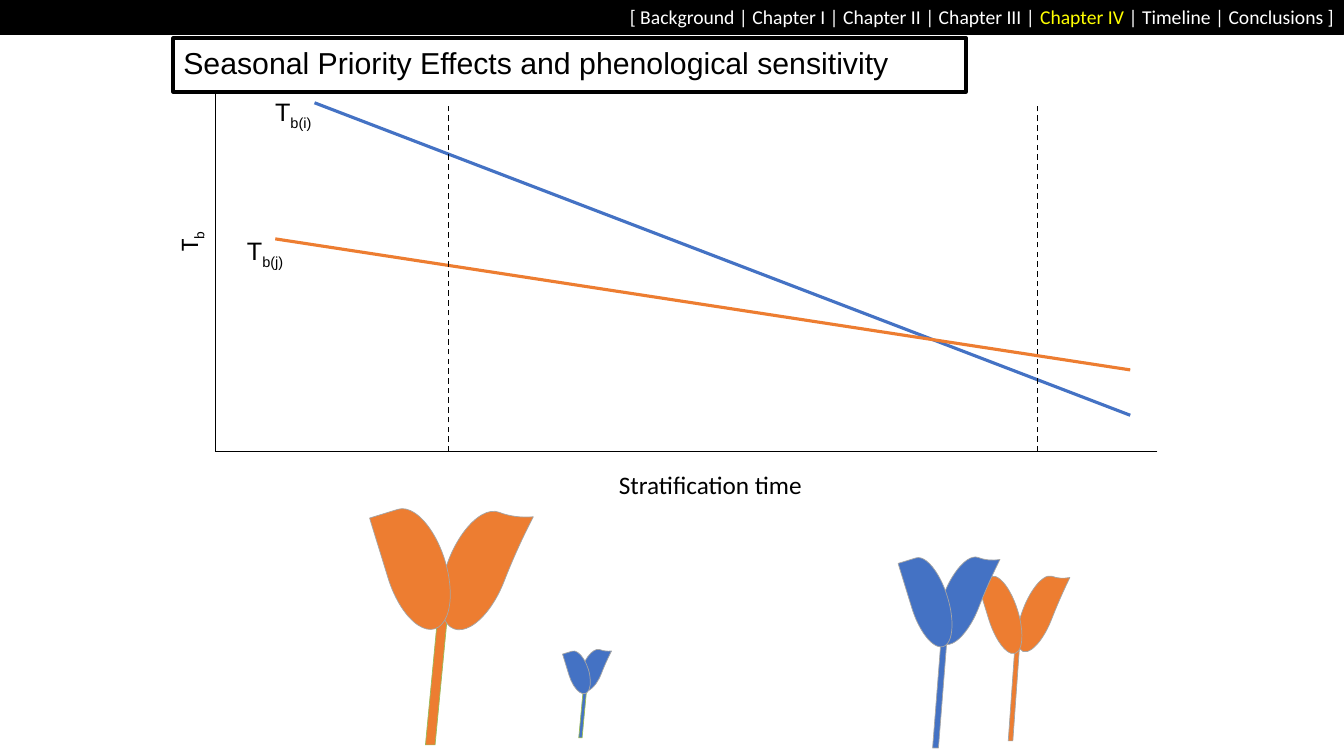
from dataclasses import dataclass

from lxml.etree import SubElement
from pptx import Presentation
from pptx.dml.color import RGBColor
from pptx.enum.dml import MSO_LINE
from pptx.enum.shapes import MSO_CONNECTOR, MSO_SHAPE
from pptx.enum.text import MSO_ANCHOR, PP_ALIGN
from pptx.oxml.ns import qn
from pptx.util import Inches, Pt


@dataclass(frozen=True)
class Theme:
    black: str = "000000"
    white: str = "FFFFFF"
    highlight: str = "FFFF00"
    blue: str = "4472C4"
    orange: str = "ED7D31"
    green: str = "9BBB59"
    grey: str = "A5A5A5"
    heading_font: str = "Arial"
    body_font: str = "Calibri"
    nav_size: float = 14
    title_size: float = 21.6
    label_size: float = 18


theme = Theme()
deck = Presentation()
deck.slide_width, deck.slide_height = Inches(13.33), Inches(7.5)
page = deck.slides.add_slide(deck.slide_layouts[6])

# Grid: one column and one row are each an inch
column = deck.slide_width / 13.33
row = deck.slide_height / 7.5


def add_text(parts, left, top, width, height, font=theme.body_font, size=theme.label_size,
             color=theme.black, align=PP_ALIGN.LEFT, anchor=MSO_ANCHOR.TOP, fill=None,
             border=None, spacing=1.0, rotation=0, wrap=True):
    """Add a text box; each part is (text, format), with optional color and subscript."""
    box = page.shapes.add_textbox(int(left * column), int(top * row),
                                  int(width * column), int(height * row))
    box.rotation = rotation
    if fill:
        box.fill.solid()
        box.fill.fore_color.rgb = RGBColor.from_string(fill)
    if border:
        box.line.color.rgb = RGBColor.from_string(theme.black)
        box.line.width = Pt(border)
    frame = box.text_frame
    frame.word_wrap = wrap
    frame.vertical_anchor = anchor
    para = frame.paragraphs[0]
    para.alignment = align
    para.line_spacing = spacing
    for text, style in parts:
        span = para.add_run()
        span.text = text
        span.font.name = font
        span.font.size = Pt(size)
        span.font.color.rgb = RGBColor.from_string(style.get("color", color))
        if style.get("subscript"):
            span.font._element.set("baseline", "-25000")


# Navigation bar and title
add_text([("[ Background | Chapter I | Chapter II | Chapter III | ", {}),
          ("Chapter IV ", {"color": theme.highlight}),
          ("| Timeline | Conclusions ]", {})],
         0, 0, 13.33, 0.34, size=theme.nav_size, color=theme.white,
         align=PP_ALIGN.RIGHT, fill=theme.black, border=0.75)
add_text([("Seasonal Priority Effects and phenological sensitivity", {})],
         1.72, 0.38, 7.86, 0.53, font=theme.heading_font, size=theme.title_size,
         anchor=MSO_ANCHOR.MIDDLE, border=3, spacing=0.9)

# Trend lines, axes and dashed markers
axis_left, axis_right, axis_top, axis_bottom = 2.14, 11.48, 0.91, 4.48
trend_right, marker_top = 11.21, 1.02
lines = [
    (3.12, marker_top, trend_right, 4.12, theme.blue, 2.25, None),
    (2.73, 2.37, trend_right, 3.67, theme.orange, 2.25, None),
    (axis_right, axis_bottom, axis_left, axis_bottom, theme.black, 1, None),
    (axis_left, axis_bottom, axis_left, axis_top, theme.black, 1, None),
]
lines += [(x, axis_bottom, x, marker_top, theme.black, 1, MSO_LINE.DASH) for x in (4.45, 10.29)]
for x1, y1, x2, y2, color, weight, dash in lines:
    line = page.shapes.add_connector(MSO_CONNECTOR.STRAIGHT, int(x1 * column), int(y1 * row),
                                     int(x2 * column), int(y2 * row))
    line.line.color.rgb = RGBColor.from_string(color)
    line.line.width = Pt(weight)
    line.line.dash_style = dash
    SubElement(line._element.spPr, qn("a:effectLst"))

# Tulips: colour, stem outline, stem box, petal width and length, back and front petal corners
tulips = [
    (theme.orange, theme.green, (4.22, 5.98, 0.23, 1.41), (0.59, 1.24), (4.43, 5.04), (3.51, 5.35)),
    (theme.blue, theme.green, (5.74, 6.82, 0.08, 0.5), (0.2, 0.44), (5.77, 6.43), (5.52, 6.57)),
    (theme.orange, theme.grey, (10, 6.44, 0.11, 0.91), (0.3, 0.8), (10.14, 5.69), (9.55, 5.95)),
    (theme.blue, theme.grey, (9.25, 6.37, 0.14, 1.05), (0.37, 0.92), (9.35, 5.5), (8.76, 5.79)),
]
for color, stem_outline, stem, (breadth, length), back, front in tulips:
    parts = [
        (MSO_SHAPE.PARALLELOGRAM, stem, 0, 0.585, stem_outline),
        (MSO_SHAPE.TEAR, (*back, breadth, length), 21.2, 1.131, theme.grey),
        (MSO_SHAPE.TEAR, (*front, length, breadth), 252.9, 1, theme.grey),
    ]
    for kind, (left, top, width, height), rotation, bend, outline in parts:
        part = page.shapes.add_shape(kind, int(left * column), int(top * row),
                                     int(width * column), int(height * row))
        part.rotation = rotation
        part.adjustments[0] = bend
        part.shadow.inherit = False
        part.fill.solid()
        part.fill.fore_color.rgb = RGBColor.from_string(color)
        part.line.color.rgb = RGBColor.from_string(outline)
        part.line.width = Pt(0.5)

# Line labels and axis titles
subscript = {"subscript": True}
add_text([("T", {}), ("b(j)", subscript)], 2.35, 2.29, 0.75, 0.4, font=theme.heading_font)
add_text([("T", {}), ("b(i)", subscript)], 2.63, 0.91, 0.6, 0.4, font=theme.heading_font,
         wrap=False)
add_text([("Stratification time", {})], 6.04, 4.61, 2.26, 0.4)
add_text([("T", {}), ("b", subscript)], 1.44, 1.97, 0.85, 0.4, rotation=270)

deck.save("out.pptx")
